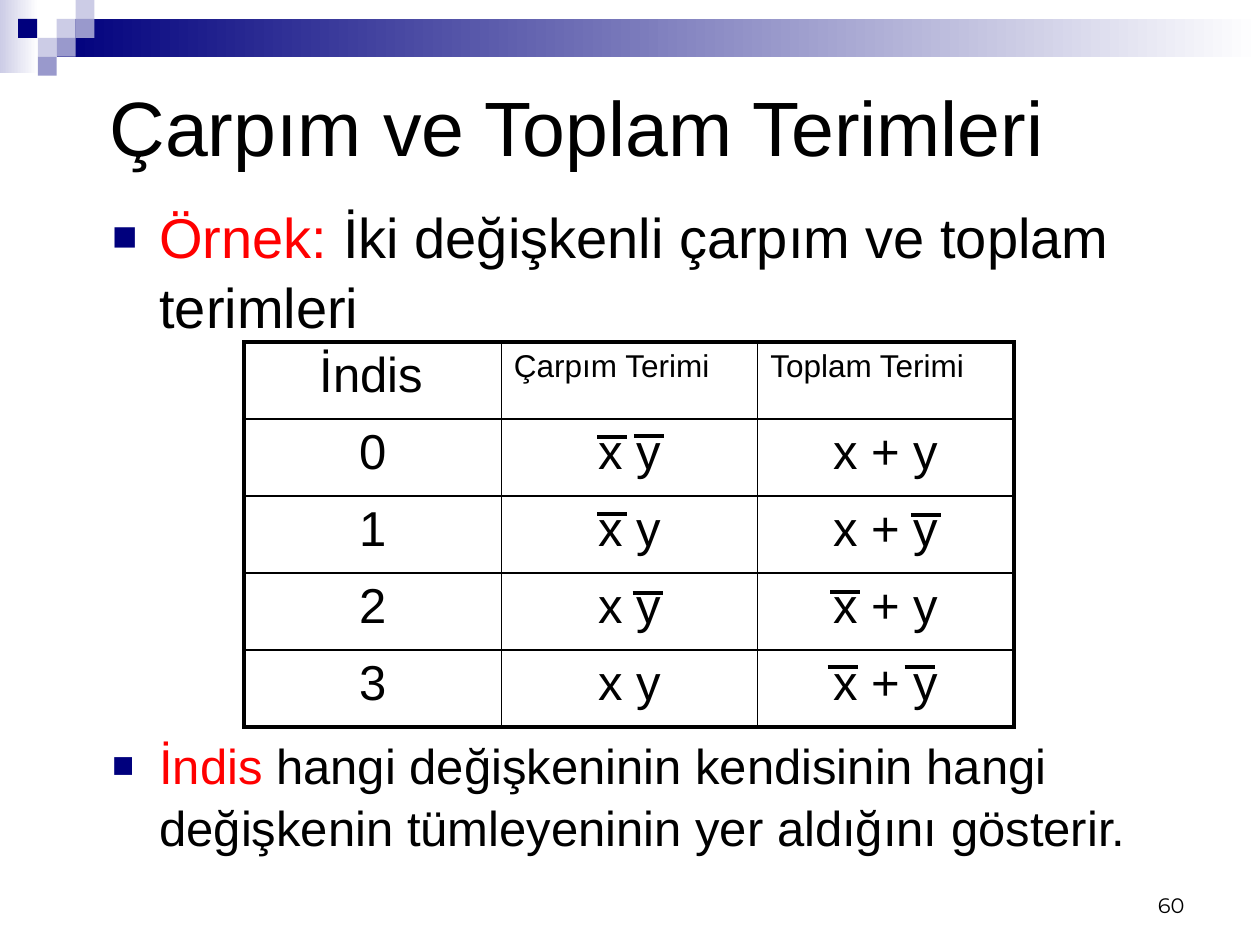
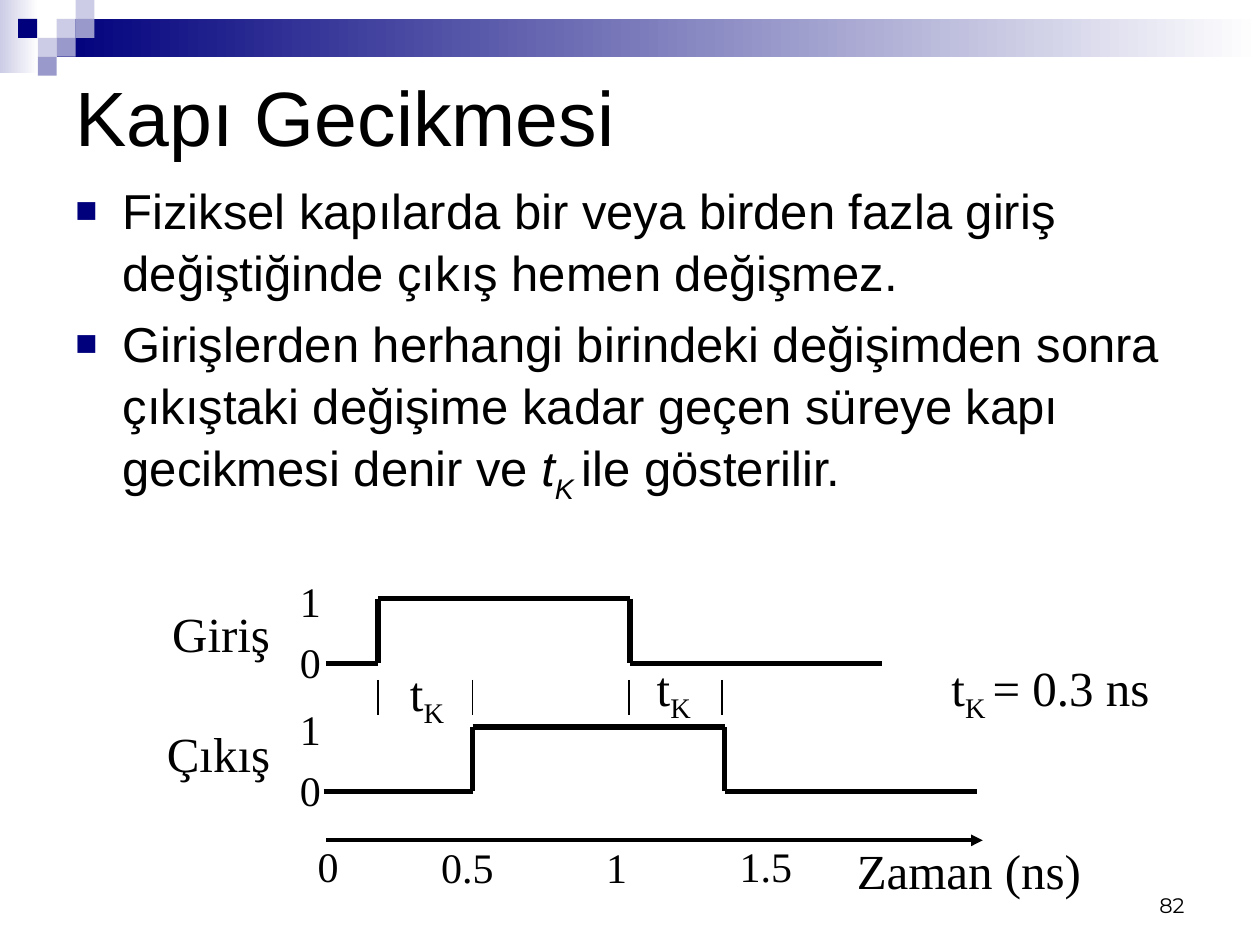
from itertools import pairwise

from lxml import etree
from pptx import Presentation
from pptx.dml.color import RGBColor
from pptx.enum.shapes import MSO_CONNECTOR, MSO_SHAPE
from pptx.enum.text import MSO_ANCHOR, PP_ALIGN
from pptx.oxml.ns import qn
from pptx.util import Pt

BLACK = RGBColor(0x00, 0x00, 0x00)
RED = RGBColor(0xFF, 0x00, 0x00)
WHITE = RGBColor(0xFF, 0xFF, 0xFF)
NAVY = RGBColor(0x00, 0x00, 0x7D)
LILAC = RGBColor(0xCC, 0xCC, 0xE6)
VIOLET = RGBColor(0x99, 0x99, 0xCC)
SANS, SERIF, NUMBER_FONT = "Arial", "Times New Roman", "Montserrat"
LEFT, CENTER, RIGHT = PP_ALIGN.LEFT, PP_ALIGN.CENTER, PP_ALIGN.RIGHT
TOP, MIDDLE, BOTTOM = MSO_ANCHOR.TOP, MSO_ANCHOR.MIDDLE, MSO_ANCHOR.BOTTOM
RECTANGLE, STRAIGHT = MSO_SHAPE.RECTANGLE, MSO_CONNECTOR.STRAIGHT


def add_text(page, area, paragraphs, size, font=SANS, align=LEFT, anchor=TOP,
             wrap=True, bullets=False):
    """Add a text box; each paragraph is a list of (text, style) spans."""
    box = page.shapes.add_textbox(*map(Pt, area))
    frame = box.text_frame
    frame.word_wrap = wrap
    frame.vertical_anchor = anchor
    for index, spans in enumerate(paragraphs):
        para = frame.add_paragraph() if index else frame.paragraphs[0]
        if bullets:
            properties = para._p.get_or_add_pPr()
            properties.set("marL", str(Pt(27)))
            properties.set("indent", str(Pt(-27)))
            colour = etree.SubElement(properties, qn("a:buClr"))
            etree.SubElement(colour, qn("a:srgbClr"), val=str(NAVY))
            etree.SubElement(properties, qn("a:buSzPct"), val="75000")
            etree.SubElement(properties, qn("a:buFont"), typeface=SANS)
            etree.SubElement(properties, qn("a:buChar"), char="■")
            para.line_spacing = 1.05
            if index:
                para.space_before = Pt(size * 0.2)
        para.alignment = align
        for text, style in spans:
            span = para.add_run()
            span.text = text
            span.font.name = font
            span.font.size = Pt(size)
            span.font.color.rgb = RED if style == "red" else BLACK
            if "italic" in style:
                span.font.italic = True
            if "sub" in style:
                span._r.get_or_add_rPr().set("baseline", "-25000")


def add_line(page, x1, y1, x2, y2, width):
    line = page.shapes.add_connector(STRAIGHT, Pt(x1), Pt(y1), Pt(x2), Pt(y2))
    line.line.color.rgb = BLACK
    line.line.width = Pt(width)
    etree.SubElement(line._element.spPr, qn("a:effectLst"))
    return line


deck = Presentation()
deck.slide_width, deck.slide_height = Pt(720), Pt(540)

# Shared band, title and page number
SQUARE = 10.8
BAND = [
    ((0, 0, 22, 42), LILAC, True),
    ((32.4, SQUARE, 687.6, 21.6), NAVY, True),
    ((32.4, 10.8, SQUARE, SQUARE), LILAC, False),
    ((43.2, 0, SQUARE, SQUARE), LILAC, False),
    ((43.2, 10.8, SQUARE, SQUARE), VIOLET, False),
    ((21.6, 21.6, SQUARE, SQUARE), LILAC, False),
    ((10.4, 10.8, SQUARE, SQUARE), NAVY, False),
    ((32.4, 21.6, SQUARE, SQUARE), VIOLET, False),
    ((21.6, 32.4, SQUARE, SQUARE), VIOLET, False),
]
PAGES = [
    ("Çarpım ve Toplam Terimleri", (55.5, 12, 612, 120), "60"),
    ("Kapı Gecikmesi", (36, 36, 648, 60), "82"),
]
pages = []
for title, title_area, number in PAGES:
    page = deck.slides.add_slide(deck.slide_layouts[6])
    for area, colour, fades in BAND:
        block = page.shapes.add_shape(RECTANGLE, *map(Pt, area))
        block.shadow.inherit = False
        block.line.fill.background()
        if fades:
            block.fill.gradient()
            block.fill.gradient_angle = 0
            for stop, shade in zip(block.fill.gradient_stops, (colour, WHITE)):
                stop.color.rgb = shade
        else:
            block.fill.solid()
            block.fill.fore_color.rgb = colour
    add_text(page, (516, 492, 168, 36), [[(number, "")]], 12, NUMBER_FONT,
             RIGHT, BOTTOM)
    add_text(page, title_area, [[(title, "")]], 44, anchor=MIDDLE)
    pages.append(page)
terms_page, delay_page = pages

# Product and sum terms
add_text(terms_page, (57, 110, 612, 84),
         [[("Örnek:", "red"), (" İki değişkenli çarpım ve toplam terimleri", "")]],
         32, bullets=True)
add_text(terms_page, (57, 415, 612, 78),
         [[("İndis", "red"), (" hangi değişkeninin kendisinin hangi değişkenin "
                              "tümleyeninin yer aldığını gösterir.", "")]],
         28, bullets=True)

ROWS = [("İndis", "Çarpım Terimi", "Toplam Terimi")]
ROWS += [(str(index), "x y", "x + y") for index in range(4)]
table = terms_page.shapes.add_table(5, 3, Pt(139.5), Pt(195.5), Pt(440),
                                    Pt(220)).table
table.first_row = table.horz_banding = False
for column, width in zip(table.columns, (147, 146.5, 146.5)):
    column.width = Pt(width)
for row_index, row in enumerate(ROWS):
    table.rows[row_index].height = Pt(44)
    for column_index, text in enumerate(row):
        cell = table.cell(row_index, column_index)
        outer_edges = {"a:lnL": column_index == 0, "a:lnR": column_index == 2,
                       "a:lnT": row_index == 0, "a:lnB": row_index == 4}
        for edge, outer in outer_edges.items():
            border = etree.SubElement(cell._tc.get_or_add_tcPr(), qn(edge),
                                      w=str(Pt(2.25 if outer else 1)))
            paint = etree.SubElement(border, qn("a:solidFill"))
            etree.SubElement(paint, qn("a:srgbClr"), val=str(BLACK))
        cell.fill.background()
        cell.text_frame.text = text
        para = cell.text_frame.paragraphs[0]
        if row_index:
            para.alignment = CENTER
        elif column_index == 0:
            para._p.get_or_add_pPr().set("marL", str(Pt(36)))
        font = para.runs[0].font
        font.name = SANS
        font.size = Pt(28 if row_index or column_index == 0 else 18)
        font.color.rgb = BLACK

OVERBARS = [(341.3, 249.8), (362.2, 249.1), (341.3, 293.8), (361.5, 339.1),
            (473, 380.9), (517, 380.9), (474.5, 338.4), (520.5, 294.5)]
for x, y in OVERBARS:
    add_line(terms_page, x, y, x + 17.2, y, 2.25)

# Gate delay
add_text(delay_page, (36, 98, 648, 180), [
    [("Fiziksel kapılarda bir veya birden fazla giriş değiştiğinde çıkış "
      "hemen değişmez.", "")],
    [("Girişlerden herhangi birindeki değişimden sonra çıkıştaki değişime "
      "kadar geçen süreye kapı gecikmesi denir ve ", ""),
     ("t", "italic"), ("K ", "italic sub"), ("ile gösterilir.", "")],
], 28, bullets=True)

# Each signal: start, rise, fall, end, high level, low level
SIGNALS = [(186.5, 216, 360, 504, 342, 379), (185, 270, 414, 558, 415.5, 452.2)]
for start, rise, fall, end, high, low in SIGNALS:
    corners = [(start, low), (rise, low), (rise, high), (fall, high),
               (fall, low), (end, low)]
    for corner, following in pairwise(corners):
        add_line(delay_page, *corner, *following, 3)
for x in (216, 270, 359.3, 412.6):
    add_line(delay_page, x, 388.5, x, 408.5, 1)

time_axis = add_line(delay_page, 186.5, 480.2, 561.6, 480.2, 2.25)
etree.SubElement(time_axis.line._get_or_add_ln(), qn("a:tailEnd"), type="triangle")

DELAY = [("t", ""), ("K", "sub")]
for x, y in ((206, 375), (347, 372)):
    add_text(delay_page, (x, y, 76, 41), [DELAY], 28, SERIF, CENTER)
add_text(delay_page, (520, 372, 160.5, 41),
         [[("t", ""), ("K ", "sub"), ("= 0.3 ns", "")]], 28, SERIF, CENTER)

LABELS = [
    ("Giriş", 90.7, 341.3, 71.3, 28), ("Çıkış", 87.8, 409.7, 74.2, 28),
    ("Zaman (ns)", 481.7, 476.6, 144, 28),
    ("1", 164, 325.4, 26.6, 24), ("0", 164, 360, 26.6, 24),
    ("1", 164, 398.2, 26.6, 24), ("0", 164, 433.4, 26.6, 24),
    ("0", 174.2, 476.6, 26.6, 24), ("0.5", 244.8, 477.4, 44.6, 24),
    ("1", 339.1, 477.4, 26.6, 24), ("1.5", 415.4, 476.6, 44.6, 24),
]
for text, x, y, width, size in LABELS:
    add_text(delay_page, (x, y, width, size * 1.46), [[(text, "")]], size, SERIF,
             CENTER, wrap=False)

deck.save("out.pptx")
